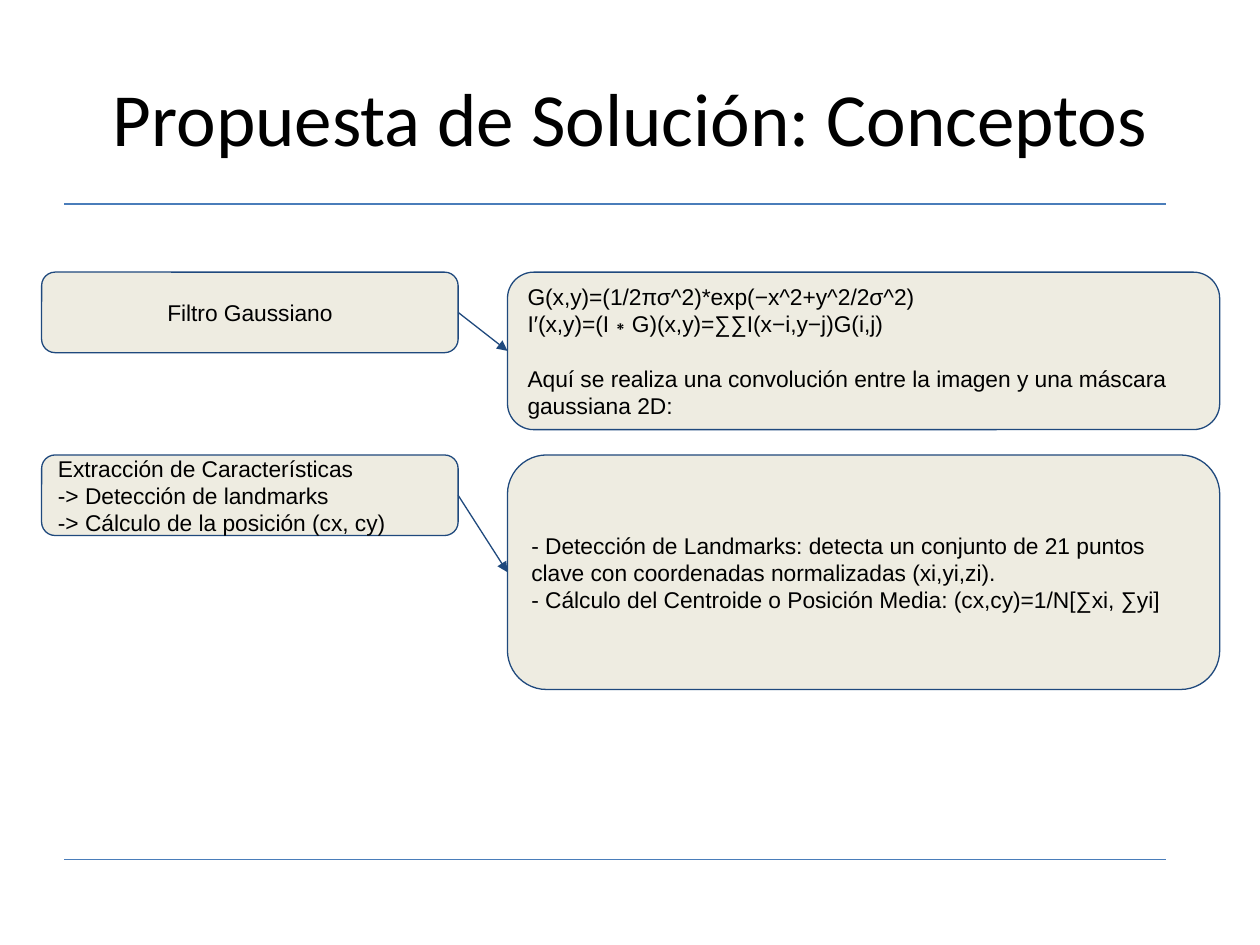
from lxml.etree import SubElement
from pptx import Presentation
from pptx.dml.color import RGBColor
from pptx.enum.shapes import MSO_CONNECTOR, MSO_SHAPE
from pptx.enum.text import MSO_ANCHOR, PP_ALIGN
from pptx.oxml.ns import qn
from pptx.util import Pt

BLACK, CREAM, NAVY, BLUE = "000000", "EEECE1", "1F497D", "4A7DBA"
LEFT_X, LEFT_W, LEFT_H = 23.8, 238, 46
RIGHT_X, RIGHT_W = 290, 407
RULE_X1, RULE_X2 = 36.7, 666

# top, concept lines, concept alignment, detail height, detail lines, gap before last line
ROWS = [
    (155.5, ["Filtro Gaussiano"], PP_ALIGN.CENTER, 90,
     ["G(x,y)=(1/2πσ^2)*exp(−x^2+y^2/2σ^2)",
      "I′(x,y)=(I∗G)(x,y)=∑∑I(x−i,y−j)G(i,j)",
      "Aquí se realiza una convolución entre la imagen y una máscara gaussiana 2D:"], 15.5),
    (260, ["Extracción de Características",
           "-> Detección de landmarks",
           "-> Cálculo de la posición (cx, cy)"], PP_ALIGN.LEFT, 134,
     ["- Detección de Landmarks: detecta un conjunto de 21 puntos clave "
      "con coordenadas normalizadas (xi,yi,zi).",
      "- Cálculo del Centroide o Posición Media: (cx,cy)=1/N[∑xi, ∑yi]"], 0),
]


def rgb(color):
    return RGBColor.from_string(color)


def write(s, lines, font, size, align):
    tf = s.text_frame
    tf.word_wrap = True
    tf.vertical_anchor = MSO_ANCHOR.MIDDLE
    tf.margin_left = tf.margin_right = tf.margin_top = tf.margin_bottom = Pt(7.2)
    tf.text = "\n".join(lines)
    for p in tf.paragraphs:
        p.alignment = align
        for r in p.runs:
            r.font.name, r.font.size = font, Pt(size)
            r.font.color.rgb = rgb(BLACK)


def add_title(slide, text):
    s = slide.shapes.add_textbox(Pt(36), Pt(21.6), Pt(648), Pt(90))
    write(s, [text], "Calibri", 42.9, PP_ALIGN.CENTER)


def add_box(slide, x, y, w, h, lines, align=PP_ALIGN.LEFT):
    s = slide.shapes.add_shape(MSO_SHAPE.ROUNDED_RECTANGLE, Pt(x), Pt(y), Pt(w), Pt(h))
    s.shadow.inherit = False
    s.fill.solid()
    s.fill.fore_color.rgb = rgb(CREAM)
    s.line.color.rgb = rgb(NAVY)
    s.line.width = Pt(0.75)
    write(s, lines, "Arial", 13, align)
    return s


def add_line(slide, x1, y1, x2, y2, color, arrow=False):
    s = slide.shapes.add_connector(MSO_CONNECTOR.STRAIGHT, Pt(x1), Pt(y1), Pt(x2), Pt(y2))
    s.line.color.rgb = rgb(color)
    s.line.width = Pt(0.75)
    if arrow:
        SubElement(s.line._get_or_add_ln(), qn("a:tailEnd"), type="triangle")
    SubElement(s._element.spPr, qn("a:effectLst"))


def add_row(slide, top, concept, align, height, detail, gap):
    """Place a concept box, its detail box and the arrow between them."""
    add_box(slide, LEFT_X, top, LEFT_W, LEFT_H, concept, align)
    s = add_box(slide, RIGHT_X, top, RIGHT_W, height, detail)
    s.text_frame.paragraphs[-1].space_before = Pt(gap)
    add_line(slide, LEFT_X + LEFT_W, top + LEFT_H / 2,
             RIGHT_X, top + height / 2, NAVY, arrow=True)


def main():
    prs = Presentation()
    prs.slide_width, prs.slide_height = Pt(720), Pt(540)
    slide = prs.slides.add_slide(prs.slide_layouts[6])
    for y in (116.6, 491):
        add_line(slide, RULE_X1, y, RULE_X2, y, BLUE)
    add_title(slide, "Propuesta de Solución: Conceptos")
    for row in ROWS:
        add_row(slide, *row)
    prs.save("out.pptx")


if __name__ == "__main__":
    main()
